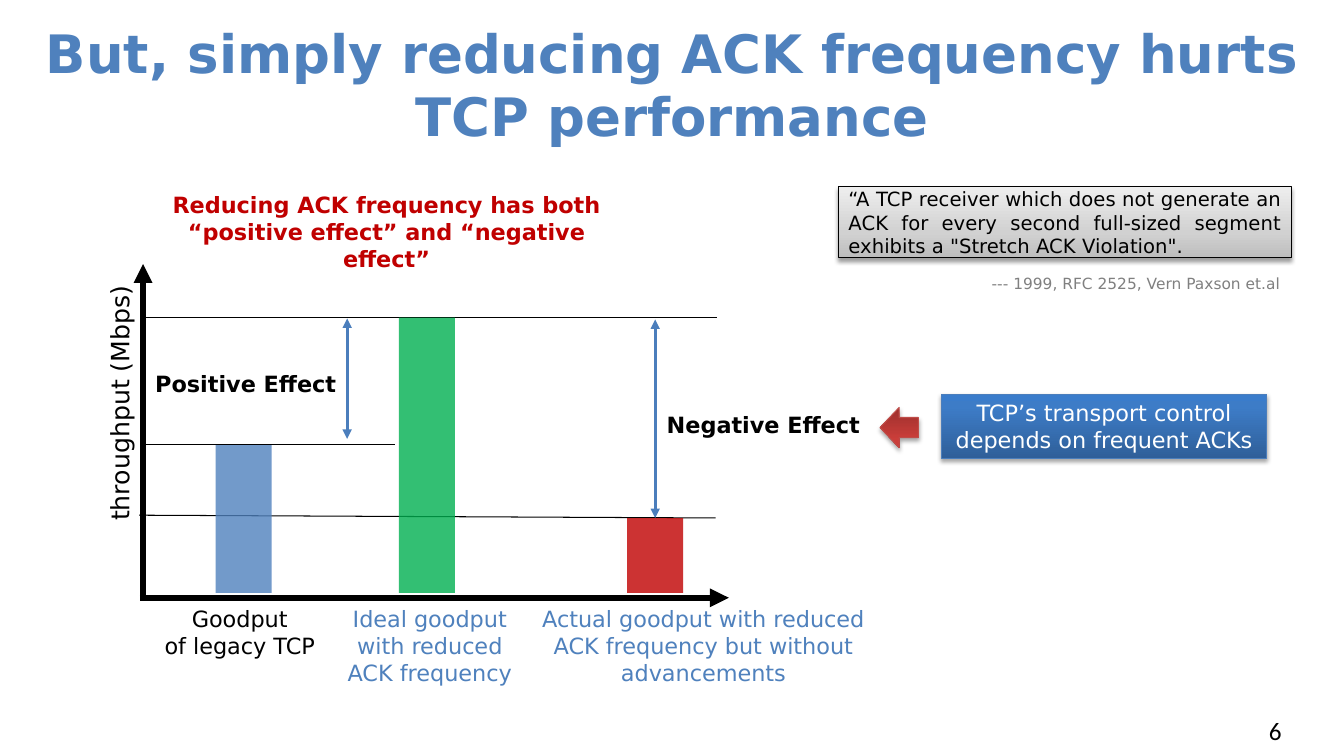
from lxml import etree
from pptx import Presentation
from pptx.dml.color import RGBColor
from pptx.enum import shapes, text
from pptx.oxml.ns import qn
from pptx.util import Pt

# Theme
THEME = {
    "font": "DejaVu Sans", "number_font": "Calibri",
    "black": "000000", "white": "FFFFFF", "gray": "808080",
    "blue": "4F81BD", "green": "00B050", "red": "C00000",
    "edge": "4B7EBC", "arrow_edge": "BF4C48",
    "title": 37.8, "axis": 18, "body": 16, "quote": 14, "source": 11,
    "thin": 0.75, "medium": 2.25, "thick": 4.5,
}
GRADIENTS = {  # (position %, colour), bottom to top
    "red": [(0, "9C2F2D"), (80, "CB3E3A"), (100, "CE3B37")],
    "blue": [(0, "2F5F99"), (80, "3D7CC7"), (100, "3A7CCB")],
    "gray": [(0, "BDBDBD"), (35, "D1D1D1"), (100, "EEEEEE")],
}

# Content: boxes are (left, top, width, height) in points
BAR_WIDTH, BAR_BASE = 40, 423.5
BARS = [  # centre, top, colour
    (174, 318, "blue"), (305, 226.8, "green"), (468, 370, "red"),
]
RULES = [  # from x, y to x, y
    (99.4, 368, 511.2, 370), (102, 226.8, 512, 226.8), (101, 317.5, 282, 317.5),
]
AXES = [(102.2, 427.7, 102.2, 188.6), (100, 427, 520.6, 427)]
LABELS = [  # lines, box, format
    (["But, simply reducing ACK frequency hurts TCP performance"],
     (0, 15, 960, 90),
     {"size": "title", "color": "blue", "bold": True, "anchor": "MIDDLE", "grow": False}),
    (["throughput (Mbps)"], (-18.7, 260.6, 208, 29),
     {"size": "axis", "align": "LEFT", "rotation": 270}),
    (["Goodput", "of legacy TCP"], (106.5, 429, 129.6, 46), {"wrap": False}),
    (["Ideal goodput with reduced ACK frequency"], (236, 429, 142, 65.5), {"color": "blue"}),
    (["Actual goodput with reduced ACK frequency but without advancements"],
     (372, 429, 261, 65.5), {"color": "blue"}),
    (["Positive Effect"], (103, 260.6, 145, 26.6), {"bold": True, "wrap": False}),
    (["Negative Effect"], (469, 290, 152.5, 26.6), {"bold": True, "wrap": False}),
    (["--- 1999, RFC 2525, Vern Paxson et.al"], (701.3, 196, 232.5, 13.5),
     {"size": "source", "color": "gray", "align": "LEFT", "anchor": "MIDDLE", "pad": 0}),
    (["Reducing ACK frequency has both “positive effect” and “negative effect”"],
     (94.3, 133.2, 363.6, 46), {"color": "red", "bold": True}),
    (["6"], (899.3, 507.6, 47, 29),
     {"size": "axis", "font": "number_font", "align": "LEFT", "grow": False}),
]
PANELS = [  # shape, box, gradient, edge, rotation, shadow opacity %, lines, format
    ("RIGHT_ARROW", (628.6, 291, 27.4, 28.8), "red", "arrow_edge", 180, 35, [], {}),
    ("RECTANGLE", (672.5, 281.5, 232.5, 46), "blue", "edge", 0, 35,
     ["TCP’s transport control depends on frequent ACKs"], {"color": "white"}),
    ("RECTANGLE", (599, 133.2, 323.3, 51), "gray", "black", 0, 38,
     ["“A TCP receiver which does not generate an ACK for every second full-sized "
      "segment exhibits a \"Stretch ACK Violation\"."],
     {"size": "quote", "align": "JUSTIFY", "anchor": "MIDDLE", "pad": 0}),
]
DEFAULTS = {"size": "body", "color": "black", "font": "font", "bold": False,
            "align": "CENTER", "anchor": "TOP", "pad": 3.6,
            "wrap": True, "grow": True, "rotation": 0}

prs = Presentation()
prs.slide_width, prs.slide_height = Pt(960), Pt(540)
slide = prs.slides.add_slide(prs.slide_layouts[6])


def rgb(name):
    return RGBColor.from_string(THEME[name])


def set_all(obj, values):
    for name, value in values.items():
        setattr(obj, name, value)


def sub(parent, tag, **attrs):
    return etree.SubElement(parent, qn(tag), {k: str(v) for k, v in attrs.items()})


def write(sp, lines, changes):
    fmt = {**DEFAULTS, **changes}
    sp.rotation = fmt["rotation"]
    tf = sp.text_frame
    fit = text.MSO_AUTO_SIZE
    set_all(tf, {
        "word_wrap": fmt["wrap"],
        "auto_size": fit.SHAPE_TO_FIT_TEXT if fmt["grow"] else fit.NONE,
        "vertical_anchor": text.MSO_ANCHOR[fmt["anchor"]],
        "margin_left": Pt(7.2), "margin_right": Pt(7.2),
        "margin_top": Pt(fmt["pad"]), "margin_bottom": Pt(fmt["pad"]),
    })
    for i, line in enumerate(lines):
        p = tf.add_paragraph() if i else tf.paragraphs[0]
        p.alignment = text.PP_ALIGN[fmt["align"]]
        r = p.add_run()
        r.text = line
        set_all(r.font, {"name": THEME[fmt["font"]], "size": Pt(THEME[fmt["size"]]),
                         "bold": fmt["bold"]})
        r.font.color.rgb = rgb(fmt["color"])


def add_line(ends, color, width, heads=()):
    line = slide.shapes.add_connector(shapes.MSO_CONNECTOR.STRAIGHT, *map(Pt, ends))
    line.line.color.rgb = rgb(color)
    line.line.width = Pt(THEME[width])
    ln = line.line._get_or_add_ln()
    for head in heads:
        sub(ln, head, type="triangle")
    sub(line._element.spPr, "a:effectLst")
    return line


def add_shape(kind, box):
    sp = slide.shapes.add_shape(shapes.MSO_SHAPE[kind], *map(Pt, box))
    sp.shadow.inherit = False
    return sp


# Guide lines and axes
for ends in RULES:
    add_line(ends, "black", "thin")
for ends in AXES:
    add_line(ends, "black", "thick", ["a:tailEnd"])

# Labels
for lines, box, fmt in LABELS:
    write(slide.shapes.add_textbox(*map(Pt, box)), lines, fmt)

# Translucent bars
bars = []
for centre, top, color in BARS:
    bar = add_shape("RECTANGLE", (centre - BAR_WIDTH / 2, top, BAR_WIDTH, BAR_BASE - top))
    bar.fill.solid()
    bar.fill.fore_color.rgb = rgb(color)
    sub(bar._element.spPr.find(".//" + qn("a:srgbClr")), "a:alpha", val=80000)
    bar.line.fill.background()
    bars.append(bar)

# Effect arrows
both = ["a:headEnd", "a:tailEnd"]
add_line((248, 227.5, 248, 313.5), "edge", "medium", both)
negative = add_line((468, 228.2, 468, 370), "edge", "medium", both)
negative.end_connect(bars[2], 0)

# Gradient panels with soft shadows
for kind, box, gradient, edge, rotation, opacity, lines, fmt in PANELS:
    sp = add_shape(kind, box)
    sp.fill.gradient()
    sp.fill.gradient_angle = 90
    stops = sp._element.spPr.find(".//" + qn("a:gsLst"))
    for stop in list(stops):
        stops.remove(stop)
    for position, color in GRADIENTS[gradient]:
        sub(sub(stops, "a:gs", pos=position * 1000), "a:srgbClr", val=color)
    sp.line.color.rgb = rgb(edge)
    sp.line.width = Pt(THEME["thin"])
    shadow = sub(sp._element.spPr.find(qn("a:effectLst")), "a:outerShdw",
                 blurRad=Pt(3.1), dist=Pt(1.8), dir=5400000, rotWithShape=0)
    sub(sub(shadow, "a:srgbClr", val=THEME["black"]), "a:alpha", val=opacity * 1000)
    if lines:
        write(sp, lines, fmt)
    sp.rotation = rotation

prs.save("out.pptx")
